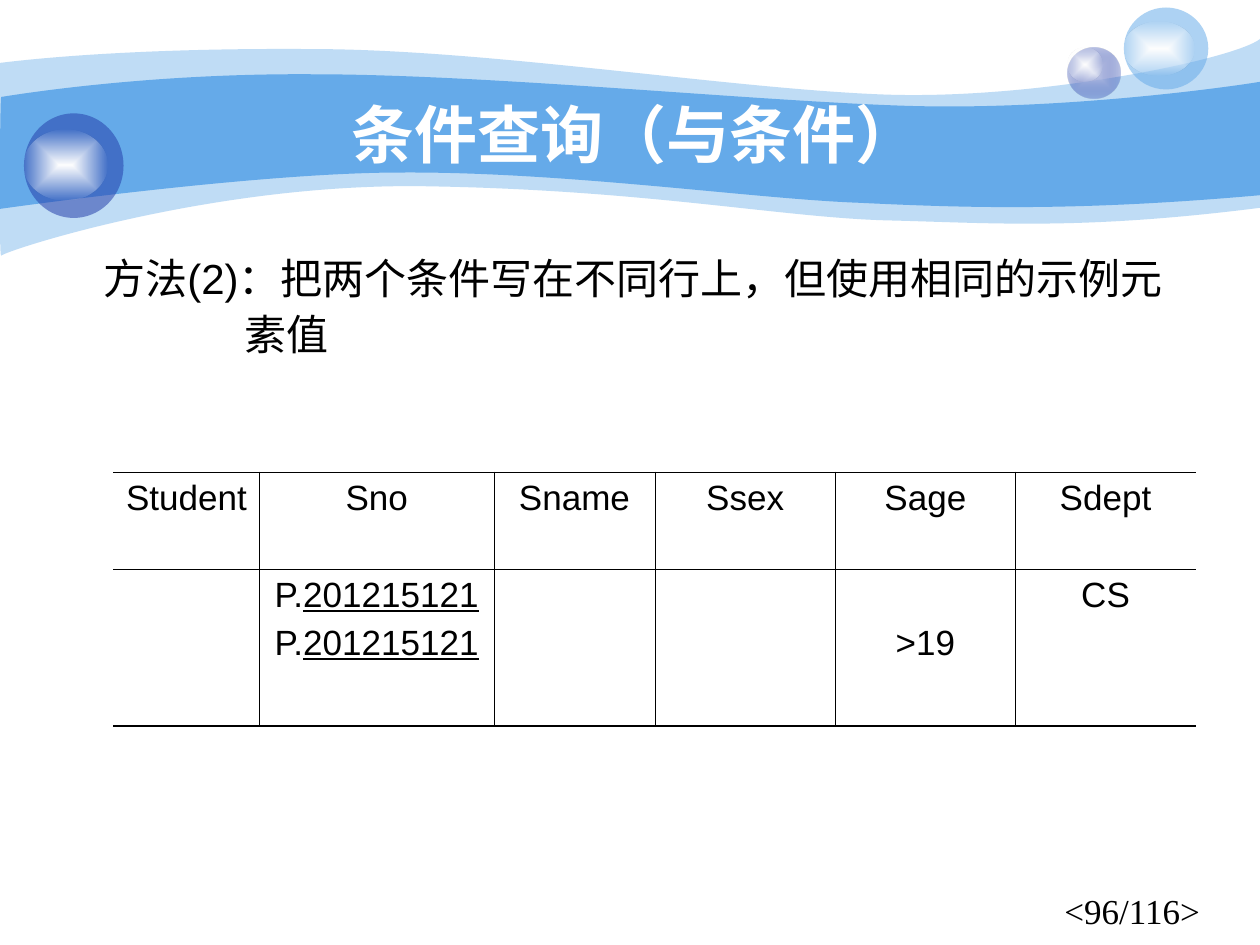
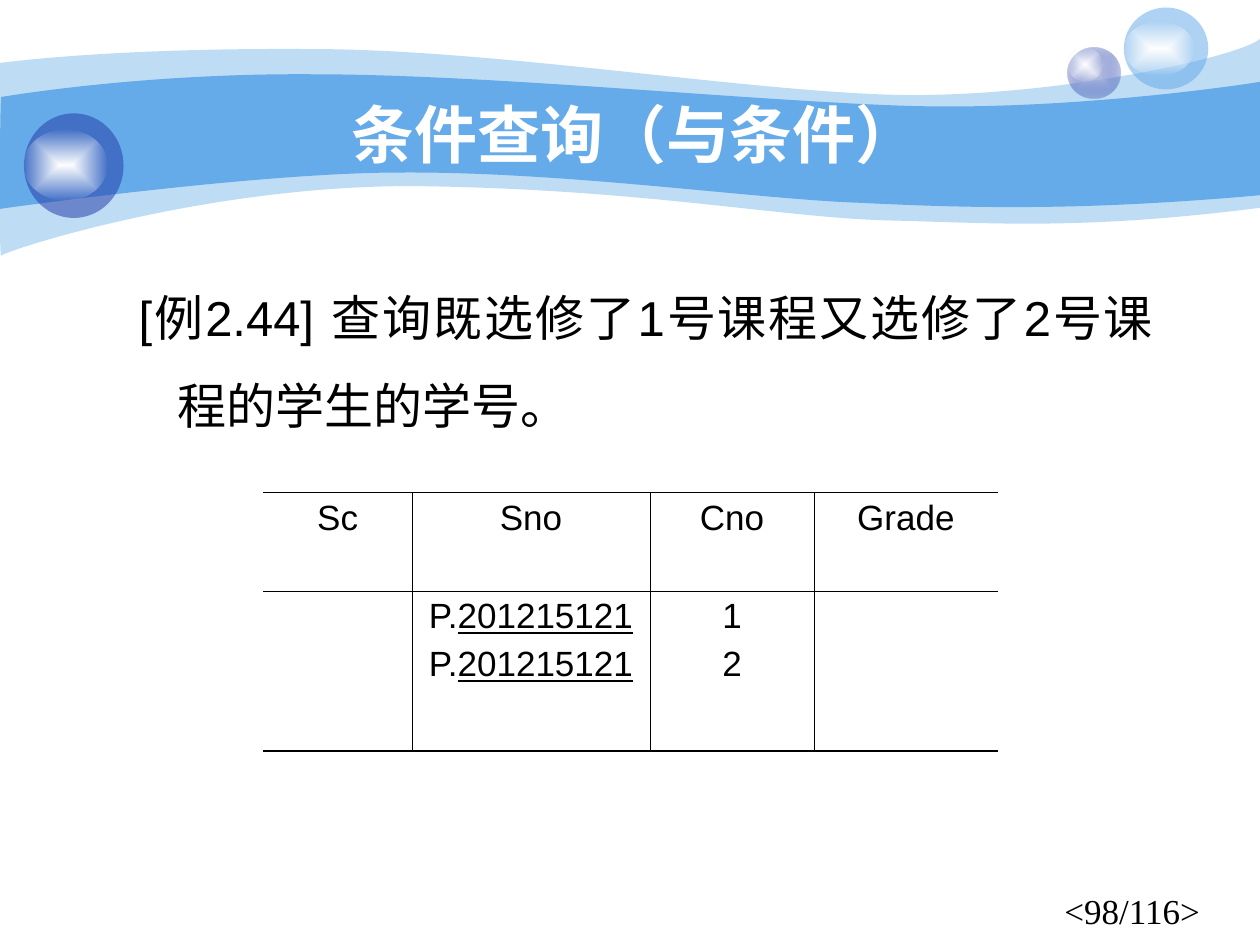
from lxml import etree
from pptx import Presentation, util as u
from pptx.dml.color import RGBColor
from pptx.enum import shapes, text
from pptx.oxml import ns

SKY = RGBColor(0x65, 0xAA, 0xE9)
NAVY = RGBColor(0x23, 0x3D, 0xA9)
LILAC = RGBColor(0xC7, 0xCE, 0xE9)
WHITE = RGBColor(0xFF, 0xFF, 0xFF)
BLACK = RGBColor(0, 0, 0)
SANS, SERIF = "Arial", "Times New Roman"

WIDTH, HEIGHT = 10, 7.5
TITLE = "条件查询（与条件）"
TITLE_AREA = (1, 0.75, 8.08, 0.62)
NUMBER_AREA = (8.35, 7.01, 1.53, 0.77)
PAGE_TOTAL = 116
THIN, THICK = 0.45, 1.08
LINE_PITCH = 0.38

STUDENT = ("P.", "201215121")
SKIP = None

SLIDES = [
    dict(
        number=96,
        body=[("方法(2)：把两个条件写在不同行上，但使用相同的示例元", 0.22, 0),
              ("素值", 1.34, 0)],
        body_area=(0.5, 2, 9.15, 1.91), size=24, spacing=0.9,
        table_at=(0.9, 3.75), columns=[1.16, 1.86, 1.28, 1.43, 1.43, 1.43],
        rows=[0.77, 1.24],
        cells=[[["Student"], ["Sno"], ["Sname"], ["Ssex"], ["Sage"], ["Sdept"]],
               [[], [STUDENT, STUDENT], [], [], [SKIP, ">19"], ["CS"]]],
    ),
    dict(
        number=98,
        body=[("[例2.44] 查询既选修了1号课程又选修了2号课程的学生的学号。", 0.81, -0.31)],
        body_area=(0.5, 2, 8.75, 1.83), size=28, spacing=1.5,
        table_at=(2.09, 3.91), columns=[1.18, 1.89, 1.3, 1.46],
        rows=[0.78, 1.27],
        cells=[[["Sc"], ["Sno"], ["Cno"], ["Grade"]],
               [[], [STUDENT, STUDENT], ["1", "2"], []]],
    ),
]

WAVES = [
    (0.41, (0, 0.5),
     [(0.24, 0.47, 1.07, 0.38, 2.47, 0.39), (3.86, 0.39, 5.75, 0.7, 6.99, 0.75),
      (8.22, 0.8, 9.8, 0.47, 10, 0.31), (10, 1.65),
      (8.58, 1.83, 7.87, 1.77, 7.05, 1.75), (6.22, 1.73, 5.15, 1.51, 3.43, 1.48),
      (1.72, 1.44, 0.04, 1.99, 0.01, 2.03), (-0.01, 2.08, 0, 0.75, 0, 0.5)]),
    (1, (0.01, 0.77),
     [(0.02, 0.77, 1.1, 0.58, 2.48, 0.59), (3.86, 0.59, 5.95, 0.8, 7.18, 0.84),
      (8.41, 0.88, 9.76, 0.69, 10, 0.65), (10, 1.55),
      (8.53, 1.68, 7.65, 1.65, 6.82, 1.61), (5.99, 1.58, 4.47, 1.36, 3.17, 1.37),
      (2.03, 1.37, -0.02, 1.66, -0.01, 1.66), (0, 1.66, 0, 0.77, 0.01, 0.77)]),
]
SHINE = [(WHITE, 1), (WHITE, 0)]
BALLS = [
    ([(LILAC, 1), (NAVY, 0.31)], (8.47, 0.38, 0.42, 0.4), (8.47, 0.38, 0.28, 0.27)),
    ([(SKY, 0.53)], (8.92, 0.06, 0.67, 0.65), (8.92, 0.17, 0.56, 0.43)),
    ([(NAVY, 0.53)], (0.19, 0.9, 0.79, 0.83), (0.19, 1.03, 0.66, 0.56)),
]


def inches(values):
    return [u.Inches(value) for value in values]


def add(parent, tag, **attributes):
    return etree.SubElement(parent, ns.qn(tag), {k: str(v) for k, v in attributes.items()})


def add_color(parent, color, alpha=1):
    node = add(parent, "a:srgbClr", val=color)
    if alpha < 1:
        add(node, "a:alpha", val=round(alpha * 100000))


def paint(shape, stops):
    shape.shadow.inherit = False
    shape.line.fill.background()
    shape.fill.solid()
    solid = shape.element.spPr.find(ns.qn("a:solidFill"))
    if len(stops) == 1:
        solid.clear()
        add_color(solid, *stops[0])
        return
    gradient = etree.Element(ns.qn("a:gradFill"), rotWithShape="1")
    stop_list = add(gradient, "a:gsLst")
    for position, stop in zip((0, 100000), stops):
        add_color(add(stop_list, "a:gs", pos=position), *stop)
    center = add(gradient, "a:path", path="rect")
    add(center, "a:fillToRect", **dict.fromkeys("ltrb", 50000))
    solid.getparent().replace(solid, gradient)


def add_wave(page, start, segments):
    builder = page.shapes.build_freeform(*inches(start))
    for segment in segments:
        points = inches(segment)
        builder.add_line_segments(list(zip(points[::2], points[1::2])), close=False)
    builder.add_line_segments([], close=True)
    wave = builder.convert_to_shape()
    steps = iter(list(wave.element.iter(ns.qn("a:lnTo"))))
    for segment in segments:
        corners = [next(steps) for _ in segment[::2]]
        if len(corners) == 3:
            curve = etree.Element(ns.qn("a:cubicBezTo"))
            corners[0].addprevious(curve)
            for corner in corners:
                curve.append(corner[0])
                corner.getparent().remove(corner)
    return wave


def decorate_master(page, master):
    parts = []
    for alpha, start, segments in WAVES:
        wave = add_wave(page, start, segments)
        paint(wave, [(SKY, alpha)])
        parts.append(wave)
    for stops, ball_area, shine_area in BALLS:
        group = page.shapes.add_group_shape()
        for area, colors in ((ball_area, stops), (shine_area, SHINE)):
            paint(group.shapes.add_shape(shapes.MSO_SHAPE.OVAL, *inches(area)), colors)
        parts.append(group)
    for part in parts:
        master.shapes.element.append(part.element)


def style(para, size, name=SANS, color=BLACK, bold=False):
    para.font.size, para.font.name, para.font.bold = u.Pt(size), name, bold
    para.font.color.rgb = color


def place(shape, area):
    shape.left, shape.top, shape.width, shape.height = inches(area)
    shape.text_frame.word_wrap = True
    shape.text_frame.auto_size = text.MSO_AUTO_SIZE.NONE


def next_para(frame, index):
    return frame.add_paragraph() if index else frame.paragraphs[0]


def fill_title(title):
    place(title, TITLE_AREA)
    title.text_frame.text = TITLE
    title.text_frame.vertical_anchor = text.MSO_ANCHOR.MIDDLE
    para = title.text_frame.paragraphs[0]
    para.alignment = text.PP_ALIGN.CENTER
    style(para, 36, color=WHITE, bold=True)


def fill_body(body, content):
    place(body, content["body_area"])
    for index, (line, margin, indent) in enumerate(content["body"]):
        para = next_para(body.text_frame, index)
        para.text = line
        para.alignment = text.PP_ALIGN.JUSTIFY
        para.line_spacing = content["spacing"]
        para.space_before = u.Pt(6 if index else 0)
        properties = para._p.get_or_add_pPr()
        properties.set("marL", str(u.Inches(margin)))
        properties.set("indent", str(u.Inches(indent)))
        add(properties, "a:buNone")
        style(para, content["size"])


def set_borders(cell, widths):
    properties = cell._tc.get_or_add_tcPr()
    for side, width in zip("LRTB", widths):
        line = add(properties, "a:ln" + side, w=u.Pt(width))
        if width:
            add_color(add(line, "a:solidFill"), BLACK)
        else:
            add(line, "a:noFill")
    cell.fill.background()


def fill_cell(cell, lines):
    skipped = lines.count(SKIP)
    cell.margin_top = u.Inches(0.05 + skipped * LINE_PITCH)
    for index, line in enumerate(lines[skipped:]):
        para = next_para(cell.text_frame, index)
        para.alignment = text.PP_ALIGN.CENTER
        para.space_before = u.Pt(5 if index else 0)
        style(para, 20)
        prefix, example = line if isinstance(line, tuple) else (line, "")
        para.add_run().text = prefix
        if example:
            span = para.add_run()
            span.text = example
            span.font.underline = True


def add_query_table(page, content):
    columns, rows = content["columns"], content["rows"]
    area = (*content["table_at"], sum(columns), sum(rows))
    table = page.shapes.add_table(len(rows), len(columns), *inches(area)).table
    table.first_row = table.horz_banding = False
    for column, width in zip(table.columns, columns):
        column.width = u.Inches(width)
    for r, height in enumerate(rows):
        table.rows[r].height = u.Inches(height)
        for c, lines in enumerate(content["cells"][r]):
            cell = table.cell(r, c)
            set_borders(cell, (THIN if c else 0,
                               THIN if c < len(columns) - 1 else 0,
                               THIN if r else THICK,
                               THIN if r < len(rows) - 1 else THICK))
            fill_cell(cell, lines)


def add_page_number(page, number):
    box = page.shapes.add_textbox(*inches(NUMBER_AREA))
    box.text_frame.word_wrap = True
    para = box.text_frame.paragraphs[0]
    para.text = f"<{number}/{PAGE_TOTAL}>"
    style(para, 20, SERIF)


def main():
    deck = Presentation()
    deck.slide_width, deck.slide_height = inches((WIDTH, HEIGHT))
    layout = deck.slide_layouts[1]
    for index, content in enumerate(SLIDES):
        page = deck.slides.add_slide(layout)
        if index == 0:
            decorate_master(page, deck.slide_master)
        add_page_number(page, content["number"])
        fill_title(page.shapes.title)
        fill_body(page.placeholders[1], content)
        add_query_table(page, content)
    deck.save("out.pptx")


if __name__ == "__main__":
    main()
